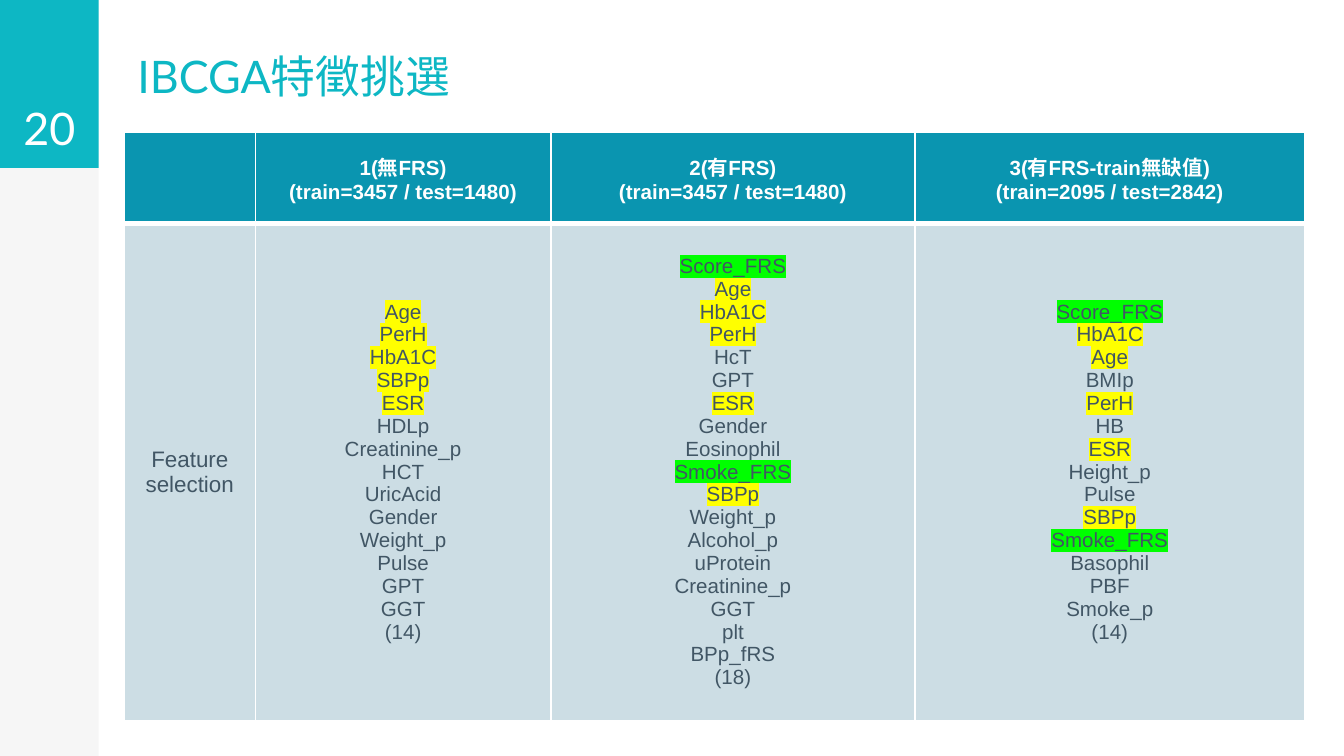
from pptx import Presentation
from pptx.dml.color import RGBColor
from pptx.enum.shapes import MSO_SHAPE as Shape
from pptx.enum.text import MSO_ANCHOR as Anchor, PP_ALIGN as Align
from pptx.oxml import parse_xml
from pptx.oxml.ns import nsdecls
from pptx.util import Pt

COLORS = {
    "white": "FFFFFF", "teal": "0DB7C4", "sidebar": "F6F6F6",
    "header": "0A95B0", "body": "CCDDE4", "text": "415665",
    "yellow": "FFFF00", "green": "00FF00",
}
TITLE = "IBCGA特徵挑選"
PAGE = "20"
ROW_LABEL = "Feature selection"
MODELS = [
    (["1(無FRS)", "(train=3457 / test=1480)"],
     ["Age", "PerH", "HbA1C", "SBPp", "ESR", "HDLp", "Creatinine_p", "HCT",
      "UricAcid", "Gender", "Weight_p", "Pulse", "GPT", "GGT"]),
    (["2(有FRS)", "(train=3457 / test=1480)"],
     ["Score_FRS", "Age", "HbA1C", "PerH", "HcT", "GPT", "ESR", "Gender",
      "Eosinophil", "Smoke_FRS", "SBPp", "Weight_p", "Alcohol_p", "uProtein",
      "Creatinine_p", "GGT", "plt", "BPp_fRS"]),
    (["3(有FRS-train無缺值)", "(train=2095 / test=2842)"],
     ["Score_FRS", "HbA1C", "Age", "BMIp", "PerH", "HB", "ESR", "Height_p",
      "Pulse", "SBPp", "Smoke_FRS", "Basophil", "PBF", "Smoke_p"]),
]
# Features shared by all models are yellow, the FRS ones green.
HIGHLIGHTS = {
    **dict.fromkeys(["Age", "PerH", "HbA1C", "SBPp", "ESR"], "yellow"),
    **dict.fromkeys(["Score_FRS", "Smoke_FRS"], "green"),
}

SLIDE_WIDTH, SLIDE_HEIGHT = 720, 405
SIDEBAR_WIDTH, PAGE_HEIGHT = 52.8, 90
TABLE_LEFT, TABLE_TOP = 66.5, 70.6
COLUMN_WIDTHS = [70.4, 158.2, 195.2, 208.6]
ROW_HEIGHTS = [49, 266.5]

TITLE_FORMAT = {"name": "Lato", "size": Pt(24), "bold": False}
LABEL_FORMAT = {"name": "Arial", "size": Pt(12), "bold": False}
FEATURE_FORMAT = {**LABEL_FORMAT, "size": Pt(11)}
HEADER_FORMAT = {**FEATURE_FORMAT, "bold": True}


def rgb(color):
    return RGBColor.from_string(COLORS[color])


def write(frame, lines, formats, color, align=Align.CENTER, highlights={}):
    for index, line in enumerate(lines):
        paragraph = frame.paragraphs[0] if index == 0 else frame.add_paragraph()
        paragraph.alignment = align
        run = paragraph.add_run()
        run.text = line
        for name, value in formats.items():
            setattr(run.font, name, value)
        run.font.color.rgb = rgb(color)
        if line in highlights:
            fill = run.font.fill._xPr.find(".//{*}solidFill")
            fill.addnext(parse_xml(
                f'<a:highlight {nsdecls("a")}>'
                f'<a:srgbClr val="{COLORS[highlights[line]]}"/></a:highlight>'))


def add_panel(slide, height, color):
    panel = slide.shapes.add_shape(
        Shape.RECTANGLE, 0, 0, Pt(SIDEBAR_WIDTH), Pt(height))
    panel.shadow.inherit = False
    panel.fill.solid()
    panel.fill.fore_color.rgb = rgb(color)
    panel.line.fill.background()


def add_text(slide, box, text, anchor, color, align):
    frame = slide.shapes.add_textbox(*map(Pt, box)).text_frame
    margins = dict.fromkeys(
        ["margin_left", "margin_top", "margin_right", "margin_bottom"], Pt(7.2))
    for name, value in {**margins, "word_wrap": True,
                        "vertical_anchor": anchor}.items():
        setattr(frame, name, value)
    write(frame, [text], TITLE_FORMAT, color, align)


def style_cell(cell, color, bottom_width):
    cell.vertical_anchor = Anchor.MIDDLE
    cell.fill.solid()
    cell.fill.fore_color.rgb = rgb(color)
    properties = cell._tc.get_or_add_tcPr()
    widths = {"lnL": 1, "lnR": 1, "lnT": 1, "lnB": bottom_width}
    for index, (side, width) in enumerate(widths.items()):
        properties.insert(index, parse_xml(
            f'<a:{side} {nsdecls("a")} w="{Pt(width)}"><a:solidFill>'
            f'<a:srgbClr val="{COLORS["white"]}"/></a:solidFill></a:{side}>'))


def add_feature_table(slide):
    table = slide.shapes.add_table(
        len(ROW_HEIGHTS), len(COLUMN_WIDTHS), Pt(TABLE_LEFT), Pt(TABLE_TOP),
        Pt(sum(COLUMN_WIDTHS)), Pt(sum(ROW_HEIGHTS))).table
    for column, width in zip(table.columns, COLUMN_WIDTHS):
        column.width = Pt(width)
    for row, height in zip(table.rows, ROW_HEIGHTS):
        row.height = Pt(height)
    for row, color, bottom_width in zip(table.rows, ["header", "body"], [3, 1]):
        for cell in row.cells:
            style_cell(cell, color, bottom_width)

    write(table.cell(1, 0).text_frame, [ROW_LABEL], LABEL_FORMAT, "text")
    for column, (heading, features) in enumerate(MODELS, start=1):
        write(table.cell(0, column).text_frame, heading, HEADER_FORMAT, "white")
        write(table.cell(1, column).text_frame,
              features + [f"({len(features)})"],
              FEATURE_FORMAT, "text", highlights=HIGHLIGHTS)


def main():
    presentation = Presentation()
    presentation.slide_width = Pt(SLIDE_WIDTH)
    presentation.slide_height = Pt(SLIDE_HEIGHT)
    slide = presentation.slides.add_slide(presentation.slide_layouts[6])
    add_panel(slide, SLIDE_HEIGHT, "sidebar")
    add_panel(slide, PAGE_HEIGHT, "teal")
    add_text(slide, (TABLE_LEFT, 0.7, 280, 80), TITLE,
             Anchor.MIDDLE, "teal", Align.LEFT)
    add_text(slide, (0, 0, SIDEBAR_WIDTH, PAGE_HEIGHT), PAGE,
             Anchor.BOTTOM, "white", Align.CENTER)
    add_feature_table(slide)
    presentation.save("out.pptx")


if __name__ == "__main__":
    main()
